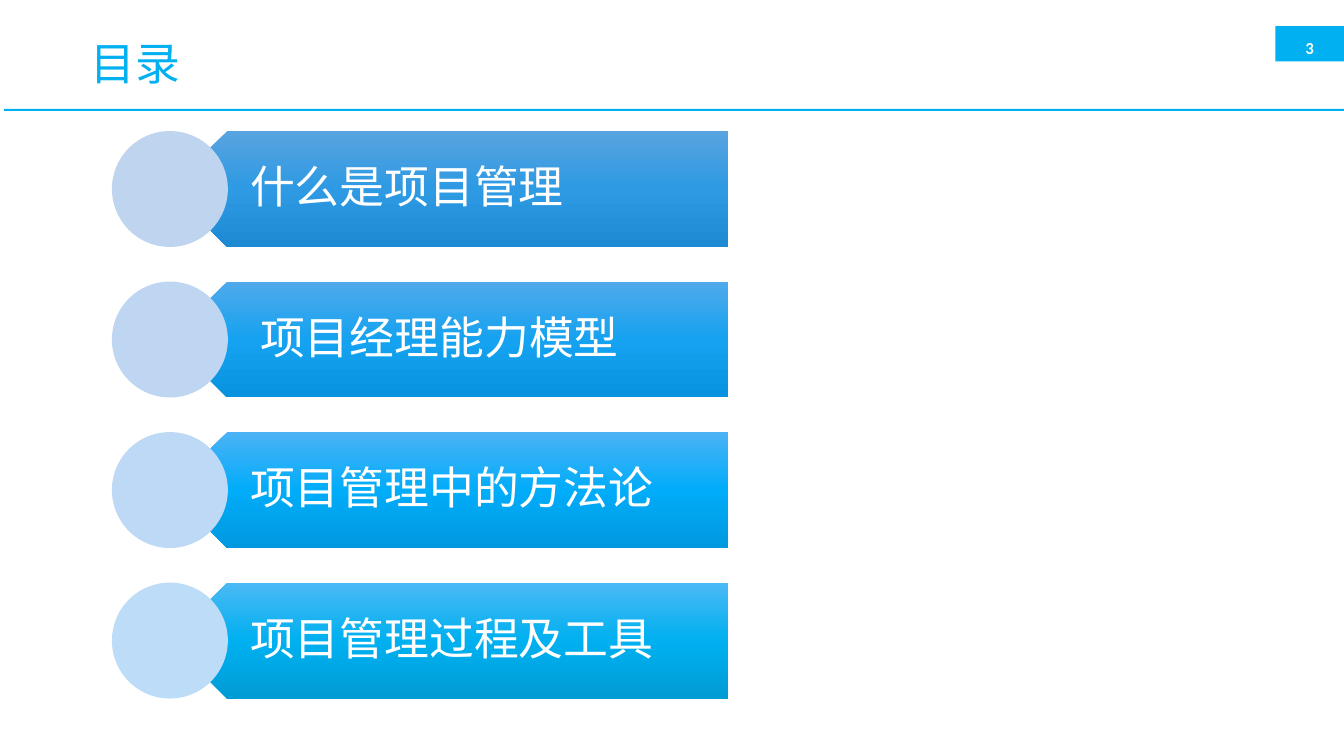
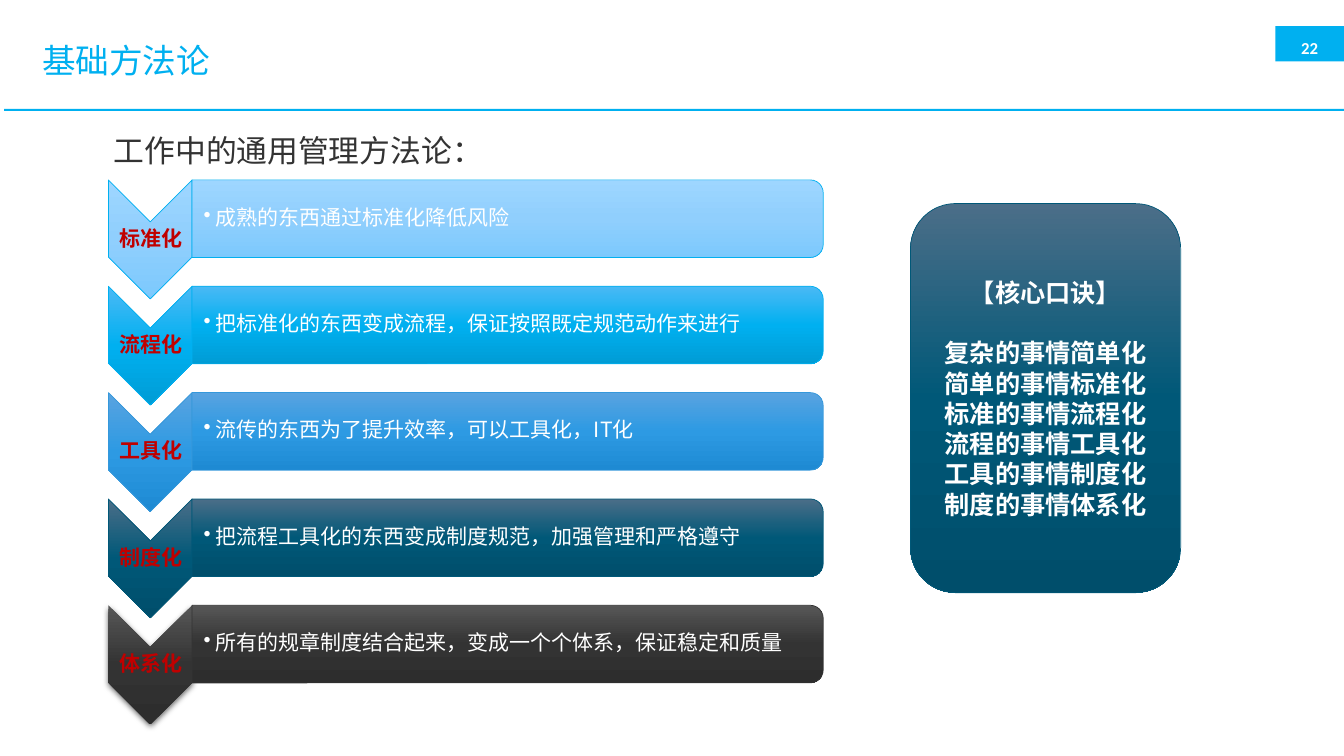
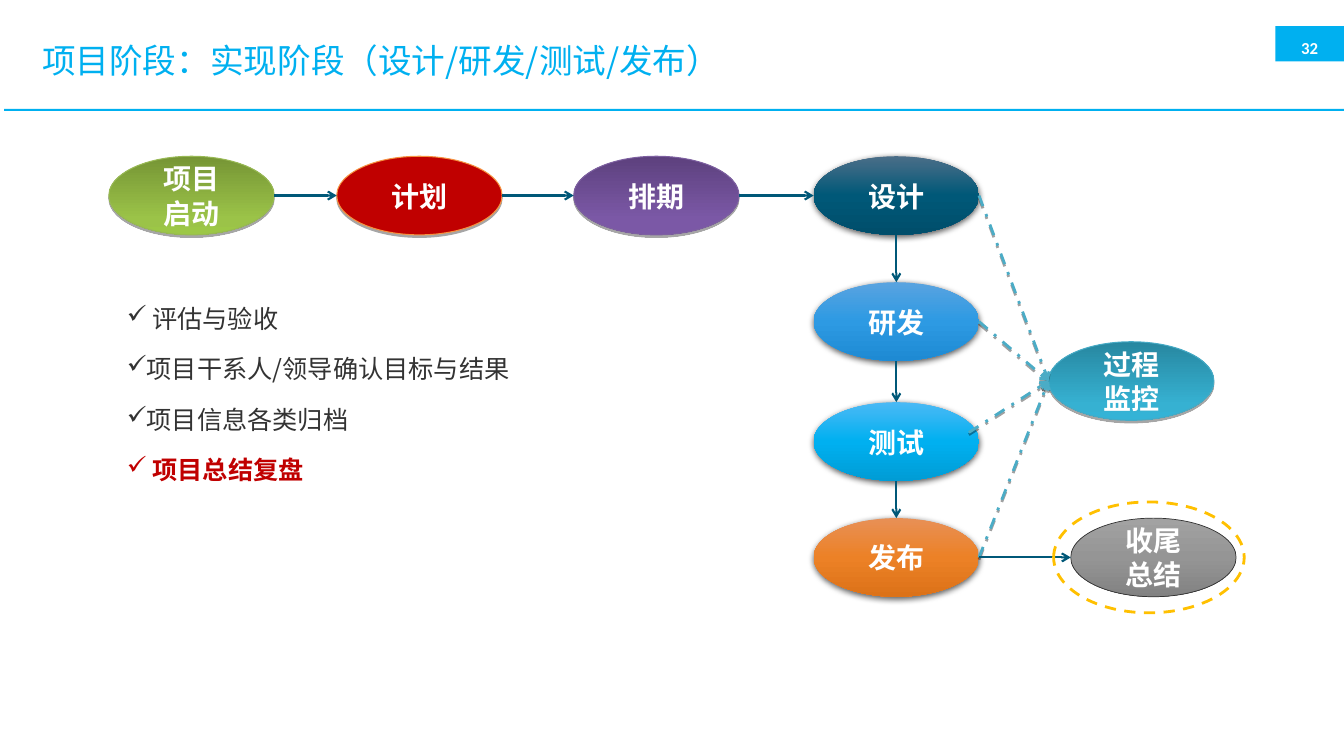
from dataclasses import dataclass

from lxml import etree
from pptx import Presentation
from pptx.dml.color import RGBColor
from pptx.enum.dml import MSO_LINE
from pptx.enum.shapes import MSO_CONNECTOR, MSO_SHAPE
from pptx.enum.text import MSO_ANCHOR, PP_ALIGN
from pptx.oxml import parse_xml
from pptx.oxml.ns import nsdecls, qn
from pptx.util import Inches, Pt

LEFT, CENTER = PP_ALIGN.LEFT, PP_ALIGN.CENTER
TOP, MIDDLE, BOTTOM = MSO_ANCHOR.TOP, MSO_ANCHOR.MIDDLE, MSO_ANCHOR.BOTTOM
RECT, ELLIPSE = MSO_SHAPE.RECTANGLE, MSO_SHAPE.OVAL
PENTAGON, CHEVRON = MSO_SHAPE.PENTAGON, MSO_SHAPE.CHEVRON
ROUND_RECT, ROUND_TOP = MSO_SHAPE.ROUNDED_RECTANGLE, MSO_SHAPE.ROUND_2_SAME_RECTANGLE
DASH, DASH_DOT = MSO_LINE.DASH, MSO_LINE.DASH_DOT
STRAIGHT = MSO_CONNECTOR.STRAIGHT


@dataclass(frozen=True)
class Theme:
    """Colours, gradients, fonts and type sizes of the deck."""

    accent: str = "00B0F0"
    white: str = "FFFFFF"
    ink: str = "333333"
    red: str = "C00000"
    deep: str = "005878"
    monitor: str = "4BACC6"
    highlight: str = "FFC000"
    font: str = "Noto Sans CJK SC"
    number_font: str = "Calibri"
    agenda: int = 32
    title: int = 24
    heading: int = 22
    node: int = 20
    body: int = 18
    step: int = 15
    number: int = 12
    pale: tuple = ((0, "9ED6FF"), (50, "90CFFD"), (100, "7CC9FD"))
    cyan: tuple = ((0, "4BB9F5"), (50, "00B0F0"), (100, "009CD5"))
    azure: tuple = ((0, "4BB2F6"), (50, "01ACF9"), (100, "0099DF"))
    sky: tuple = ((0, "50A9EB"), (50, "15A2F0"), (100, "0893E0"))
    blue: tuple = ((0, "59A3E0"), (50, "2D9AE3"), (100, "1E8AD3"))
    teal: tuple = ((0, "4B6E88"), (50, "005878"), (100, "004E6B"))
    dark: tuple = ((0, "575757"), (50, "333333"), (100, "2D2D2D"))
    gray: tuple = ((0, "A2A2A2"), (50, "959595"), (100, "828282"))
    orange: tuple = ((0, "E89056"), (50, "EC8126"), (100, "DC7218"))
    green: tuple = ((0, "769535"), (80, "9BC348"), (100, "9CC746"))
    purple: tuple = ((0, "5D417E"), (80, "7B58A6"), (100, "7B57A8"))
    aqua: tuple = ((0, "2787A0"), (80, "36B1D2"), (100, "34B3D6"))
    soft_shadow: tuple = (63, 4.5, 1.5)
    hard_shadow: tuple = (34, 0, 1.8)
    line_shadow: tuple = (37, 0, 1.6)


T = Theme()


def rgb(value):
    """Turn a hex string into a colour."""
    return RGBColor.from_string(value)


def add_effects(spPr, shadow):
    """Fill the effect list with an optional downward shadow."""
    effects = spPr.find(qn("a:effectLst"))
    if effects is None:
        effects = etree.SubElement(spPr, qn("a:effectLst"))
    if shadow:
        alpha, blur, dist = shadow
        effects.append(parse_xml(
            f'<a:outerShdw {nsdecls("a")} blurRad="{Pt(blur)}" dist="{Pt(dist)}" '
            f'dir="5400000" rotWithShape="0"><a:srgbClr val="000000">'
            f'<a:alpha val="{alpha * 1000}"/></a:srgbClr></a:outerShdw>'))


def set_line(line, color, width, dash=None):
    """Style an outline or a connector."""
    line.color.rgb = rgb(color)
    line.width = Pt(width)
    if dash:
        line.dash_style = dash


def add_box(s, kind, at, fill=None, line=None, shadow=None, rotation=0):
    """Add a preset shape with a solid, gradient or empty fill."""
    sp = s.shapes.add_shape(kind, *map(Inches, at))
    sp.rotation = rotation
    if isinstance(fill, tuple):
        stops = "".join(f'<a:gs pos="{pos * 1000}"><a:srgbClr val="{color}"/></a:gs>'
                        for pos, color in fill)
        sp._element.spPr.insert(2, parse_xml(
            f'<a:gradFill {nsdecls("a")} rotWithShape="0"><a:gsLst>{stops}</a:gsLst>'
            f'<a:lin ang="5400000" scaled="0"/></a:gradFill>'))
    elif fill:
        sp.fill.solid()
        sp.fill.fore_color.rgb = rgb(fill)
    else:
        sp.fill.background()
    if line:
        set_line(sp.line, *line)
    else:
        sp.line.fill.background()
    sp.shadow.inherit = False
    add_effects(sp._element.spPr, shadow)
    return sp


def add_paragraph(p, text, size=T.body, color=T.white, bold=False, font=T.font,
                  align=LEFT, spacing=None, before=None, bullet=None, hang=0):
    """Write one formatted paragraph."""
    pPr = p._p.get_or_add_pPr()
    if bullet:
        pPr.set("marL", str(Inches(hang)))
        pPr.set("indent", str(-Inches(hang)))
        etree.SubElement(pPr, qn("a:buChar")).set("char", bullet)
    p.alignment = align
    if spacing:
        p.line_spacing = spacing
    if before:
        p.space_before = before
    r = p.add_run()
    r.text = text
    r.font.size = Pt(size)
    r.font.bold = bold
    r.font.color.rgb = rgb(color)
    r.font.name = font
    etree.SubElement(r._r.get_or_add_rPr(), qn("a:ea")).set("typeface", font)


def write(sp, lines, anchor=MIDDLE, insets=(0.1, 0.05, 0.1, 0.05), **style):
    """Write lines, each a string or a (string, overrides) pair, into a shape."""
    tf = sp.text_frame
    tf.word_wrap = True
    tf.vertical_anchor = anchor
    tf.margin_left, tf.margin_top, tf.margin_right, tf.margin_bottom = map(Inches, insets)
    for i, line in enumerate(lines):
        text, extra = (line, {}) if isinstance(line, str) else line
        p = tf.add_paragraph() if i else tf.paragraphs[0]
        add_paragraph(p, text, **{**style, **extra})


def add_text(s, at, *lines, **style):
    """Add a text box."""
    write(s.shapes.add_textbox(*map(Inches, at)), lines, **style)


def add_arrow(s, start, end, color=T.deep, width=1.5, dash=None, shadow=None):
    """Add a straight arrow between two points."""
    cxn = s.shapes.add_connector(STRAIGHT, *map(Inches, (*start, *end)))
    set_line(cxn.line, color, width, dash)
    spPr = cxn._element.spPr
    etree.SubElement(spPr.find(qn("a:ln")), qn("a:tailEnd")).set("type", "arrow")
    add_effects(spPr, shadow)


def add_slide(prs, number, title, at=(0.32, 0.27, 11.74, 0.7), size=T.title):
    """Add a blank slide with the number tab, title rule and title."""
    s = prs.slides.add_slide(prs.slide_layouts[6])
    add_box(s, RECT, (12.65, 0.26, 0.69, 0.35), T.accent)
    add_text(s, (12.75, 0.3, 0.48, 0.27), str(number), anchor=BOTTOM, insets=(0,) * 4,
             size=T.number, bold=True, font=T.number_font, align=CENTER)
    add_box(s, RECT, (0.04, 1.08, 13.31, 0.02), T.accent)
    add_text(s, at, title, size=size, color=T.accent, spacing=0.9)
    return s


def add_agenda_item(s, y, text, fill, dot):
    """Add a left-pointing banner with a round marker."""
    height = 1.15
    add_box(s, PENTAGON, (1.68, y, 5.54, height), fill, rotation=180)
    add_text(s, (1.97, y, 5.25, height), text, insets=(0.51, 0.13, 0.25, 0.13),
             size=T.agenda, spacing=0.9)
    add_box(s, ELLIPSE, (1.11, y, height, height), dot)


def add_step(s, y, label, text, fill, line, shadow=None):
    """Add a downward chevron with its label and description bar."""
    outline = (line, 0.5)
    add_box(s, CHEVRON, (0.9, y + 0.18, 1.18, 0.83), fill,
            None if shadow else outline, shadow, 90)
    add_text(s, (1.08, y + 0.42, 0.83, 0.35), label, insets=(0.01,) * 4, size=T.step,
             color=T.red, bold=True, align=CENTER, spacing=0.9)
    add_box(s, ROUND_TOP, (4.65, y - 2.74, 0.77, 6.26), fill, outline, rotation=90)
    add_text(s, (1.9, y + 0.04, 6.22, 0.69), text, insets=(0.12, 0.01, 0.01, 0.01),
             size=T.step, spacing=0.9, bullet="•", hang=0.12)


def add_node(s, x, y, *lines, fill, line=None, shadow=T.soft_shadow):
    """Add a process oval."""
    sp = add_box(s, ELLIPSE, (x, y, 1.64, 0.78), fill, line, shadow)
    write(sp, lines, size=T.node, bold=True, align=CENTER, spacing=Pt(24.4))


def build_agenda(prs):
    """Build the table of contents."""
    s = add_slide(prs, 3, "目录", (0.8, 0.3, 11.74, 0.7), T.agenda)
    items = (("什么是项目管理", T.blue, "BFD4EE"),
             (" 项目经理能力模型", T.sky, "BED6F1"),
             ("项目管理中的方法论", T.azure, "BDD9F5"),
             ("项目管理过程及工具", T.cyan, "BCDCF8"))
    pitch = (5.78 - 1.3) / (len(items) - 1)
    for i, item in enumerate(items):
        add_agenda_item(s, 1.3 + i * pitch, *item)


def build_method(prs):
    """Build the five-step methodology."""
    s = add_slide(prs, 22, "基础方法论")
    steps = (("标准化", "成熟的东西通过标准化降低风险", T.pale, T.accent),
             ("流程化", "把标准化的东西变成流程，保证按照既定规范动作来进行", T.cyan, T.accent),
             ("工具化", "流传的东西为了提升效率，可以工具化，IT化", T.blue, "3598DB"),
             ("制度化", "把流程工具化的东西变成制度规范，加强管理和严格遵守", T.teal, T.deep),
             ("体系化", "所有的规章制度结合起来，变成一个个体系，保证稳定和质量", T.dark, T.ink,
              T.soft_shadow))
    pitch = (6 - 1.78) / (len(steps) - 1)
    for i, step in enumerate(steps):
        add_step(s, 1.78 + i * pitch, *step)
    motto = add_box(s, ROUND_RECT, (9.03, 2.02, 2.68, 3.86), T.teal, (T.deep, 0.5))
    write(motto, ("【核心口诀】", ("复杂的事情简单化", {"before": Pt(21.6)}),
                  "简单的事情标准化", "标准的事情流程化", "流程的事情工具化",
                  "工具的事情制度化", "制度的事情体系化"),
          bold=True, align=CENTER, spacing=Pt(21.6))
    add_text(s, (1.03, 1.15, 8.25, 0.56), "工作中的通用管理方法论：", anchor=TOP,
             size=T.heading, color=T.ink, spacing=Pt(34))


def build_stage(prs):
    """Build the project stage flow."""
    s = add_slide(prs, 32, "项目阶段：实现阶段（设计/研发/测试/发布）")
    width, height, top = 1.64, 0.78, 1.55
    row = (1.08, 3.34, 5.69, 8.07)
    column = (top, 2.8, 3.99, 5.14)
    x = row[-1]
    right, middle = x + width, x + width / 2
    hard = {"shadow": T.hard_shadow}
    add_node(s, row[0], top, "项目", "启动", fill=T.green, line=("98B954", 0.75), **hard)
    add_node(s, row[1], top, "计划", fill=T.red, line=("F69240", 0.75), **hard)
    add_node(s, row[2], top, "排期", fill=T.purple, line=("7D60A0", 0.75), **hard)
    work = (("设计", T.teal), ("研发", T.blue), ("测试", T.cyan), ("发布", T.orange))
    for y, (label, fill) in zip(column, work):
        add_node(s, x, y, label, fill=fill)
    add_node(s, 10.62, column[-1], "收尾", "总结", fill=T.gray, line=(T.ink, 0.5), shadow=None)
    add_node(s, 10.4, 3.39, "过程", "监控", fill=T.aqua, line=("46AAC5", 0.75), **hard)
    for a, b in zip(row, row[1:]):
        add_arrow(s, (a + width, top + height / 2), (b, top + height / 2))
    for a, b in zip(column, column[1:]):
        add_arrow(s, (middle, a + height), (middle, b))
    for start in ((right, 1.94), (right, 3.19), (9.61, 4.29), (right, 5.53)):
        add_arrow(s, start, (10.4, 3.78), T.monitor, 2, DASH_DOT, T.line_shadow)
    add_arrow(s, (right, 5.53), (10.62, 5.53))
    add_box(s, ELLIPSE, (10.45, 4.98, 1.89, 1.1), line=(T.highlight, 2, DASH))
    add_text(s, (1.16, 2.76, 4.25, 3.43), " 评估与验收", "项目干系人/领导确认目标与结果",
             "项目信息各类归档", (" 项目总结复盘", {"color": T.red, "bold": True}),
             anchor=TOP, color=T.ink, spacing=Pt(36), bullet="✓")


def main():
    """Build and save the deck."""
    prs = Presentation()
    prs.slide_width, prs.slide_height = Inches(13.33), Inches(7.5)
    for build in (build_agenda, build_method, build_stage):
        build(prs)
    prs.save("out.pptx")


if __name__ == "__main__":
    main()
